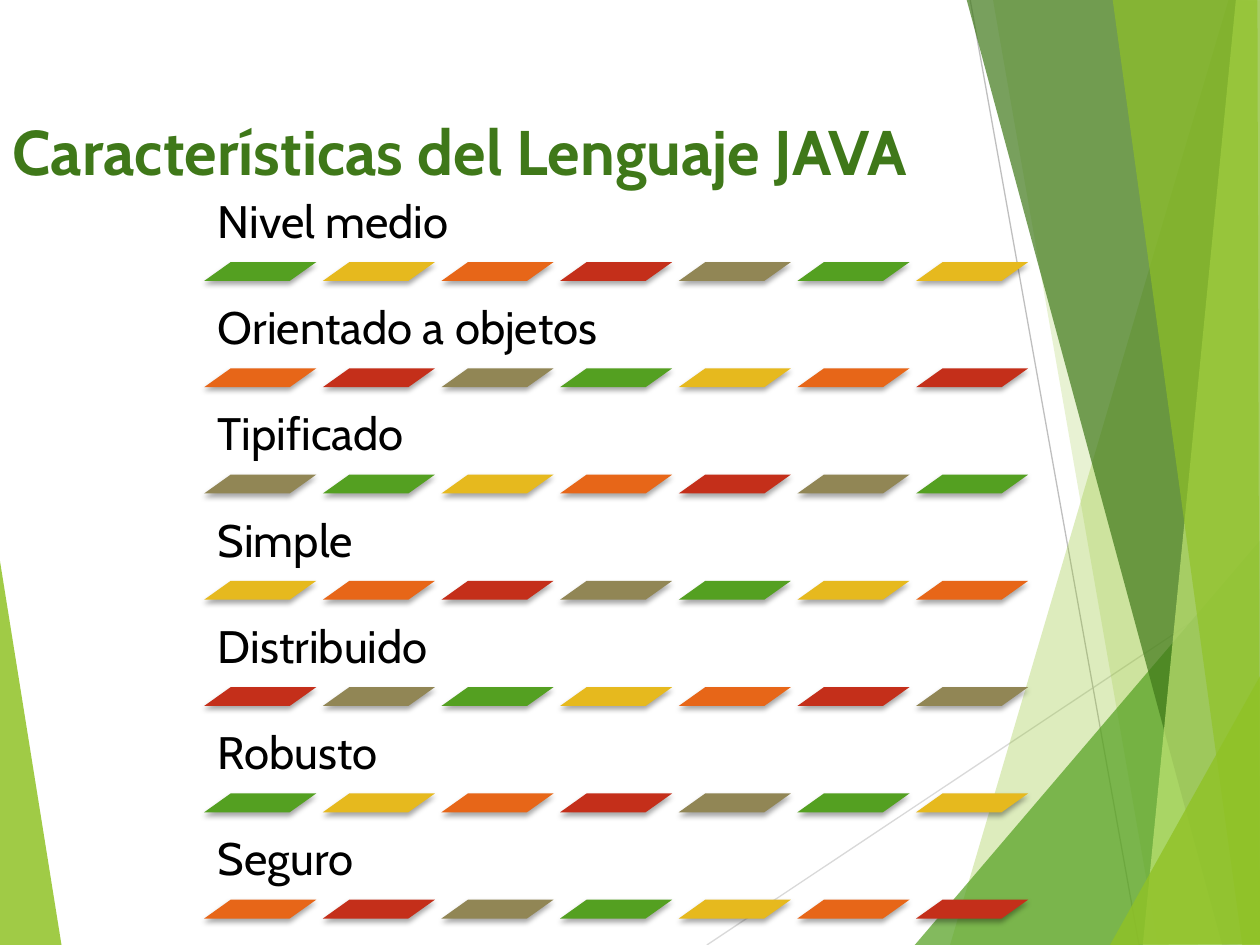
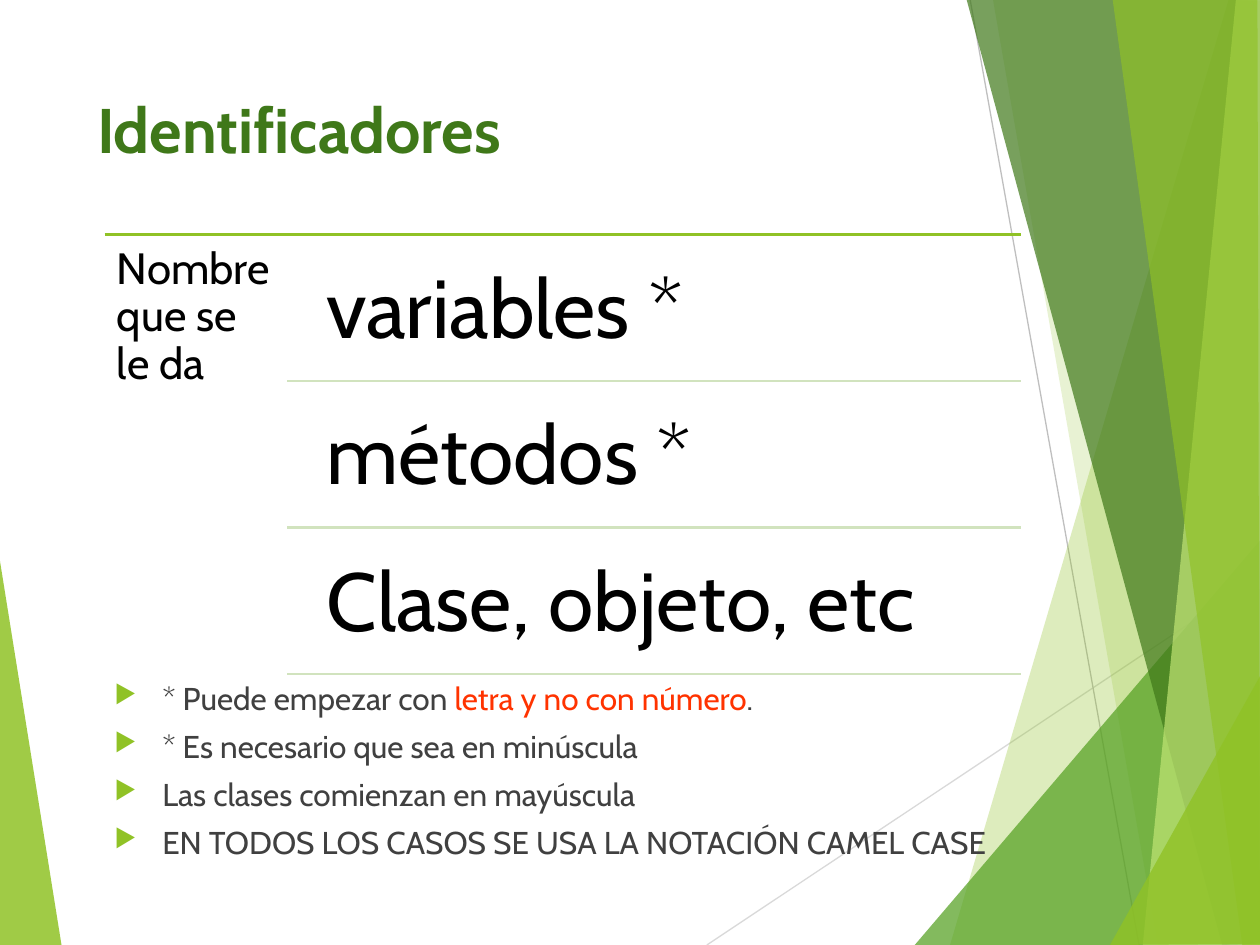
from dataclasses import dataclass

from lxml.etree import SubElement
from pptx import Presentation
from pptx.dml.color import RGBColor
from pptx.enum.shapes import MSO_CONNECTOR as Connector, MSO_SHAPE as Preset
from pptx.enum.text import MSO_ANCHOR as Anchor, MSO_AUTO_SIZE as AutoSize, PP_ALIGN as Align
from pptx.oxml.ns import qn
from pptx.util import Inches, Pt


@dataclass(frozen=True)
class Theme:
    """Colours, font and type sizes shared by the slides."""
    font: str = "Cabin"
    lime: str = "90C226"
    green: str = "54A021"
    dark_green: str = "3F7819"
    pale_lime: str = "C0E474"
    rule: str = "D1E3BE"
    text: str = "000000"
    body: str = "404040"
    alert: str = "FF3300"
    accents: tuple = ("54A021", "E6B91E", "E76618", "C42F1A", "918655")
    title_size: int = 36
    feature_size: int = 26
    lead_size: int = 25
    item_size: int = 47
    note_size: int = 18


THEME = Theme()

# Content
FEATURES_TITLE = "Características del Lenguaje JAVA"
FEATURES = ["Nivel medio", "Orientado a objetos", "Tipificado", "Simple",
            "Distribuido", "Robusto", "Seguro"]
NAMES_TITLE = "Identificadores"
NAMES_LEAD = "Nombre que se le da"
NAMED_ITEMS = ["variables *", "métodos *", "Clase, objeto, etc"]
# Each note is a list of (text, colour) pieces
NOTES = [
    [("* Puede empezar con ", THEME.body), ("letra y no con número", THEME.alert),
     (".", THEME.body)],
    [("* Es necesario que sea en minúscula", THEME.body)],
    [("Las clases comienzan en mayúscula", THEME.body)],
    [("EN TODOS LOS CASOS SE USA LA NOTACIÓN CAMEL CASE", THEME.body)],
]

# Backdrop: corner points, colour, opacity in percent
LEFT_FACET = ([(-0.01, 4.39), (0.49, 7.51), (-0.01, 7.5)], THEME.lime, 85)
BACKDROP_LINES = [((5.61, 7.5), (10.01, 4.57), "D9D9D9"), ((7.7, 0), (9.04, 7.5), "BFBFBF")]
RIGHT_FACETS = [
    ([(9.75, 0), (7.54, 7.5), (10.02, 7.51), (10.01, 0.01)], THEME.lime, 30),
    ([(7.88, -0.01), (9.19, 7.5), (10.01, 7.5), (10.01, -0.01)], THEME.lime, 20),
    ([(7.26, 7.5), (10, 4.29), (10.01, 7.5)], THEME.green, 72),
    ([(7.67, -0.01), (9.7, 7.5), (10.01, 7.49), (10.01, -0.01)], THEME.dark_green, 70),
    ([(9.81, -0.01), (9.07, 7.5), (10.01, 7.5), (10, -0.01)], THEME.pale_lime, 70),
    ([(8.83, -0.01), (9.86, 7.5), (10, 7.5), (9.98, -0.01)], THEME.lime, 65),
    ([(8.81, 7.5), (10.01, 5.35), (10.01, 7.49)], THEME.lime, 80),
]


def add_line(shapes, start, end, color, width):
    """Draw a straight line without shadow."""
    line = shapes.add_connector(Connector.STRAIGHT, *map(Inches, start + end))
    line.line.color.rgb = RGBColor.from_string(color)
    line.line.width = Pt(width)
    SubElement(line.element.spPr, qn("a:effectLst"))


def fill_plain(shape, color):
    """Give a shape a solid fill and neither outline nor shadow."""
    shape.fill.solid()
    shape.fill.fore_color.rgb = RGBColor.from_string(color)
    shape.line.fill.background()
    shape.shadow.inherit = False


def add_facet(shapes, corners, color, opacity):
    """Draw one translucent polygon of the backdrop."""
    points = [(Inches(x), Inches(y)) for x, y in corners]
    builder = shapes.build_freeform(*points[0])
    builder.add_line_segments(points[1:], close=True)
    facet = builder.convert_to_shape()
    fill_plain(facet, color)
    tint = facet.element.spPr.find(qn("a:solidFill")).find(qn("a:srgbClr"))
    SubElement(tint, qn("a:alpha"), val=str(opacity * 1000))


def add_backdrop(layout, slide):
    """Draw the backdrop as a group and move it behind everything on the layout."""
    backdrop = slide.shapes.add_group_shape()
    add_facet(backdrop.shapes, *LEFT_FACET)
    for start, end, color in BACKDROP_LINES:
        add_line(backdrop.shapes, start, end, color, 0.75)
    for facet in RIGHT_FACETS:
        add_facet(backdrop.shapes, *facet)
    layout.shapes.element.insert(2, backdrop.element)


def style_run(run, size, color, bold=False):
    """Set the font of one run."""
    run.font.name = THEME.font
    run.font.size = Pt(size)
    run.font.bold = bold
    run.font.color.rgb = RGBColor.from_string(color)


def set_title(slide, title, left, top, width, height):
    """Place, fill and format the title placeholder."""
    heading = slide.shapes.title
    heading.left, heading.top, heading.width, heading.height = map(
        Inches, (left, top, width, height))
    frame = heading.text_frame
    frame.text = title
    frame.auto_size = AutoSize.NONE
    frame.vertical_anchor = Anchor.TOP
    frame.paragraphs[0].alignment = Align.LEFT
    style_run(frame.paragraphs[0].runs[0], THEME.title_size, THEME.dark_green, bold=True)


def add_label(slide, label, box, size, inset, anchor=Anchor.TOP):
    """Add a one-paragraph text box with equal insets."""
    frame = slide.shapes.add_textbox(*map(Inches, box)).text_frame
    frame.word_wrap = True
    frame.vertical_anchor = anchor
    frame.margin_left = frame.margin_right = Inches(inset)
    frame.margin_top = frame.margin_bottom = Inches(inset)
    paragraph = frame.paragraphs[0]
    paragraph.text = label
    paragraph.line_spacing = 0.9
    style_run(paragraph.runs[0], size, THEME.text)


def add_dash(slide, left, top, color):
    """Add one slanted dash with a soft shadow beneath."""
    dash = slide.shapes.add_shape(Preset.PARALLELOGRAM, *map(Inches, (left, top, 0.89, 0.15)))
    dash.adjustments[0] = 1.408
    fill_plain(dash, color)
    effects = dash.element.spPr.find(qn("a:effectLst"))
    shadow = SubElement(effects, qn("a:outerShdw"), blurRad=str(Pt(3)), dist=str(Pt(2)),
                        dir="5400000", rotWithShape="0")
    shade = SubElement(shadow, qn("a:srgbClr"), val="000000")
    SubElement(shade, qn("a:alpha"), val="35000")


def add_features(slide):
    """List the features, each above a row of dashes whose colours run on."""
    left, first_top, last_top, columns = 1.62, 2.08, 7.14, 7
    row_step = (last_top - first_top) / (len(FEATURES) - 1)
    column_step = (7.27 - left) / (columns - 1)
    for row, feature in enumerate(FEATURES):
        top = first_top + row * row_step
        add_label(slide, feature, (left, top - 0.61, 6.67, 0.61),
                  THEME.feature_size, 0.11, Anchor.BOTTOM)
        for column in range(columns):
            color = THEME.accents[(row * columns + column) % len(THEME.accents)]
            add_dash(slide, left + column * column_step, top, color)


def add_bullet(paragraph):
    """Give a paragraph a hanging arrow bullet."""
    props = paragraph._p.get_or_add_pPr()
    props.set("marL", str(Inches(0.38)))
    props.set("indent", str(Inches(-0.38)))
    SubElement(SubElement(props, qn("a:buClr")), qn("a:srgbClr"), val=THEME.lime)
    SubElement(props, qn("a:buSzPct"), val="80000")
    SubElement(props, qn("a:buChar"), char="▶")


def add_notes(slide):
    """Add the bulleted notes under the list of names."""
    frame = slide.shapes.add_textbox(*map(Inches, (0.81, 5.4, 8.7, 1.54))).text_frame
    frame.word_wrap = True
    for index, pieces in enumerate(NOTES):
        paragraph = frame.add_paragraph() if index else frame.paragraphs[0]
        paragraph.line_spacing = 0.8
        paragraph.space_before = Pt(10)
        add_bullet(paragraph)
        for words, color in pieces:
            run = paragraph.add_run()
            run.text = words
            style_run(run, THEME.note_size, color)


def add_names(slide):
    """Add the lead on the left and the ruled items on the right."""
    left, divide, right, top, bottom = 0.83, 2.28, 8.1, 1.86, 5.35
    step = (bottom - top) / len(NAMED_ITEMS)
    add_line(slide.shapes, (left, top), (right, top), THEME.lime, 1.5)
    add_label(slide, NAMES_LEAD, (left, top, divide - left, 3.54), THEME.lead_size, 0.1)
    for row, item in enumerate(NAMED_ITEMS):
        item_top, rule_top = top + row * step + 0.06, top + (row + 1) * step
        add_label(slide, item, (2.39, item_top, 5.71, 1.11), THEME.item_size, 0.2)
        add_line(slide.shapes, (divide, rule_top), (right, rule_top), THEME.rule, 1.5)


deck = Presentation()
deck.slide_width, deck.slide_height = Inches(10), Inches(7.5)
title_only = deck.slide_layouts[5]

features_slide = deck.slides.add_slide(title_only)
add_backdrop(title_only, features_slide)
set_title(features_slide, FEATURES_TITLE, 0, 0.84, 10, 1.41)
add_features(features_slide)

names_slide = deck.slides.add_slide(title_only)
set_title(names_slide, NAMES_TITLE, 0.67, 0.67, 6.94, 1.44)
add_notes(names_slide)
add_names(names_slide)

deck.save("out.pptx")
